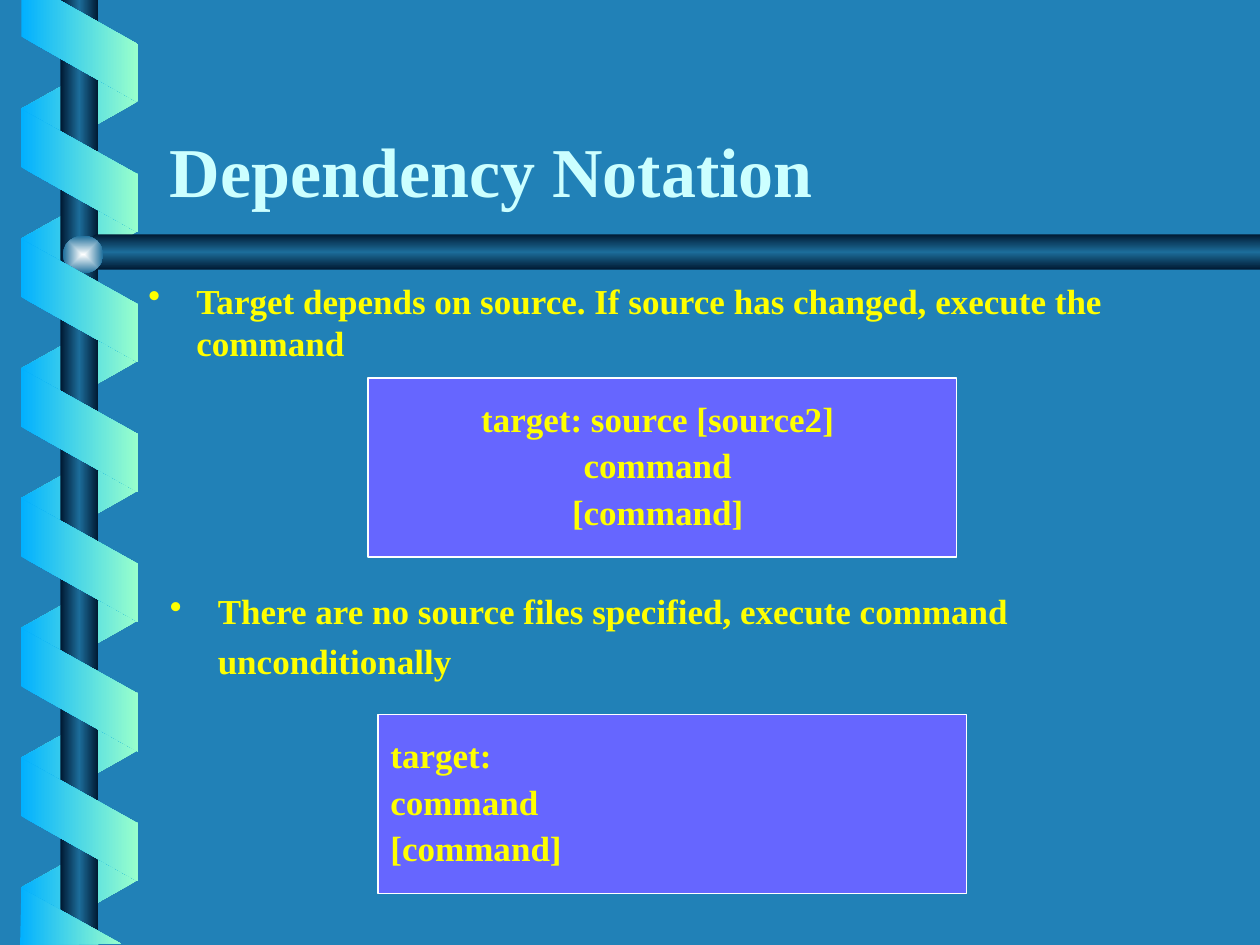
from lxml.etree import SubElement
from pptx import Presentation
from pptx.dml.color import RGBColor
from pptx.enum.shapes import MSO_SHAPE
from pptx.enum.text import MSO_ANCHOR, PP_ALIGN
from pptx.oxml.ns import qn
from pptx.util import Inches, Pt

COLUMN = ROW = Inches(1)
COLUMNS, ROWS = 10, 7.5
RIBBON_PITCH = 1.03
SKY, MINT = "01B0FF", "99FFCC"
STEEL = [(0, "001932"), (50, "1C6D9A"), (100, "001932")]
RIBBON = [(0, SKY), (100, MINT)]
RIBBON_BACK = [(0, MINT), (100, SKY)]
BODY = {"size": Pt(20), "name": "Times New Roman", "bold": True, "color": "FFFF00"}
TITLE = {**BODY, "size": Pt(40), "color": "CCFFFF"}
SPACER = {"size": Pt(28), "name": "Montserrat", "bold": False, "color": "FFFFFF"}


def color(value):
    return RGBColor.from_string(value)


def cells(left, top, width, height):
    return [round(n * unit) for n, unit in
            zip((left, top, width, height), (COLUMN, ROW, COLUMN, ROW))]


def shade(part, stops, angle=0, radial=False):
    part.shadow.inherit = False
    part.line.fill.background()
    part.fill.background()
    properties = part._element.spPr
    gradient = properties.makeelement(qn("a:gradFill"), {"rotWithShape": "0"})
    stop_list = SubElement(gradient, qn("a:gsLst"))
    for position, value in stops:
        stop = SubElement(stop_list, qn("a:gs"), pos=str(position * 1000))
        SubElement(stop, qn("a:srgbClr"), val=value)
    if radial:
        center = SubElement(gradient, qn("a:path"), path="rect")
        SubElement(center, qn("a:fillToRect"), {side: "50000" for side in "ltrb"})
    else:
        SubElement(gradient, qn("a:lin"), ang=str(angle * 60000), scaled="0")
    properties.replace(properties.find(qn("a:noFill")), gradient)


def outline(shapes, points, stops, angle=0):
    start, *rest = [(round(x * COLUMN), round(y * ROW)) for x, y in points]
    builder = shapes.build_freeform(*start)
    builder.add_line_segments(rest, close=True)
    shade(builder.convert_to_shape(), stops, angle)


def add_ribbons(shapes, box, count, stops, rotation, flipped):
    left, top, width, height = box
    for turn in range(count):
        ribbon = shapes.add_shape(
            MSO_SHAPE.PARALLELOGRAM,
            *cells(left, top + turn * RIBBON_PITCH, width, height))
        ribbon.adjustments[0] = 0.56
        ribbon.rotation = rotation
        if flipped:
            ribbon._element.spPr.xfrm.set("flipH", "1")
        shade(ribbon, stops)


def add_back_spiral(slide, box):
    add_ribbons(slide.shapes.add_group_shape().shapes, box, 7, RIBBON_BACK, 90, True)


def add_front_spiral(slide, box):
    spiral = slide.shapes.add_group_shape().shapes
    add_ribbons(spiral, box, 6, RIBBON, 270, False)
    outline(spiral, [(0.17, 0), (0.17, 0.29), (1.09, 0.81), (1.09, 0.35), (0.47, 0)], RIBBON)
    outline(spiral, [(0.96, 7.49), (0.17, 7.05), (0.16, ROWS)], RIBBON)


def add_pole(slide, box):
    shade(slide.shapes.add_shape(MSO_SHAPE.RECTANGLE, *cells(*box)), STEEL)


def add_bar(slide, box):
    left, top, width, height = box
    right, bottom, shoulder = left + width, top + height, left + 0.16
    outline(slide.shapes, [(right, top), (shoulder, top), (left, top + height / 2),
                           (shoulder, bottom), (right, bottom)], STEEL, 90)


def add_ball(slide, box):
    ball = slide.shapes.add_shape(MSO_SHAPE.OVAL, *cells(*box))
    shade(ball, [(0, "FEFFFF"), (100, "1C6D9A")], radial=True)


def style(font, look):
    for key, value in look.items():
        if key == "color":
            font.color.rgb = color(value)
        else:
            setattr(font, key, value)


def write(paragraph, text, look):
    run = paragraph.add_run()
    run.text = text
    style(run.font, look)


def add_title(slide, box, text):
    frame = slide.shapes.add_textbox(*cells(*box)).text_frame
    frame.word_wrap = True
    frame.vertical_anchor = MSO_ANCHOR.BOTTOM
    write(frame.paragraphs[0], text, TITLE)


def add_bullet(slide, box, runs, spacing=None):
    frame = slide.shapes.add_textbox(*cells(*box)).text_frame
    frame.word_wrap = True
    point = frame.paragraphs[0]
    point.line_spacing = spacing
    properties = point._p.get_or_add_pPr()
    properties.set("marL", str(round(0.38 * COLUMN)))
    properties.set("indent", str(round(-0.38 * COLUMN)))
    tint = SubElement(properties, qn("a:buClr"))
    SubElement(tint, qn("a:srgbClr"), val=BODY["color"])
    SubElement(properties, qn("a:buChar"), char="•")
    for text, look in runs:
        write(point, text, look)


def add_rule(slide, box, lines, alignment):
    panel = slide.shapes.add_shape(MSO_SHAPE.RECTANGLE, *cells(*box))
    panel.shadow.inherit = False
    panel.fill.solid()
    panel.fill.fore_color.rgb = color("6666FF")
    panel.line.color.rgb = color("FFFFFF")
    panel.line.width = Pt(0.75)
    frame = panel.text_frame
    frame.word_wrap = False
    frame.vertical_anchor = MSO_ANCHOR.MIDDLE
    for index, text in enumerate(lines):
        line = frame.add_paragraph() if index else frame.paragraphs[0]
        layout = {"alignment": alignment, "line_spacing": 0.9,
                  "space_before": Pt(5 if index else 0)}
        for key, value in layout.items():
            setattr(line, key, value)
        write(line, text, BODY)


def main():
    deck = Presentation()
    deck.slide_width, deck.slide_height = cells(0, 0, COLUMNS, ROWS)[2:]
    slide = deck.slides.add_slide(deck.slide_layouts[6])
    slide.background.fill.solid()
    slide.background.fill.fore_color.rgb = color("2181B7")

    add_back_spiral(slide, (0.14, 0.37, 0.98, 0.93))
    add_pole(slide, (0.48, 0, 0.3, ROWS))
    add_bar(slide, (0.6, 1.86, 9.4, 0.28))
    add_ball(slide, (0.5, 1.87, 0.32, 0.3))
    add_front_spiral(slide, (0.14, 0.89, 0.98, 0.93))

    add_rule(slide, (2.92, 3, 4.67, 1.42),
             ["target: source [source2] ", "command ", "[command] "], PP_ALIGN.CENTER)
    add_title(slide, (1.25, 0.96, 8.5, 0.77), "Dependency Notation")
    add_bullet(slide, (1.08, 2.17, 8.58, 1.08), [
        ("Target depends on source. If source has changed, execute the command", BODY)])
    add_rule(slide, (3, 5.67, 4.67, 1.42),
             ["target:", "command", "[command]"], PP_ALIGN.LEFT)
    add_bullet(slide, (1.25, 4.67, 8.58, 0.83), [
        ("There are no source files specified, execute command unconditionally", BODY),
        (" ", SPACER)], 0.9)
    deck.save("out.pptx")


if __name__ == "__main__":
    main()
